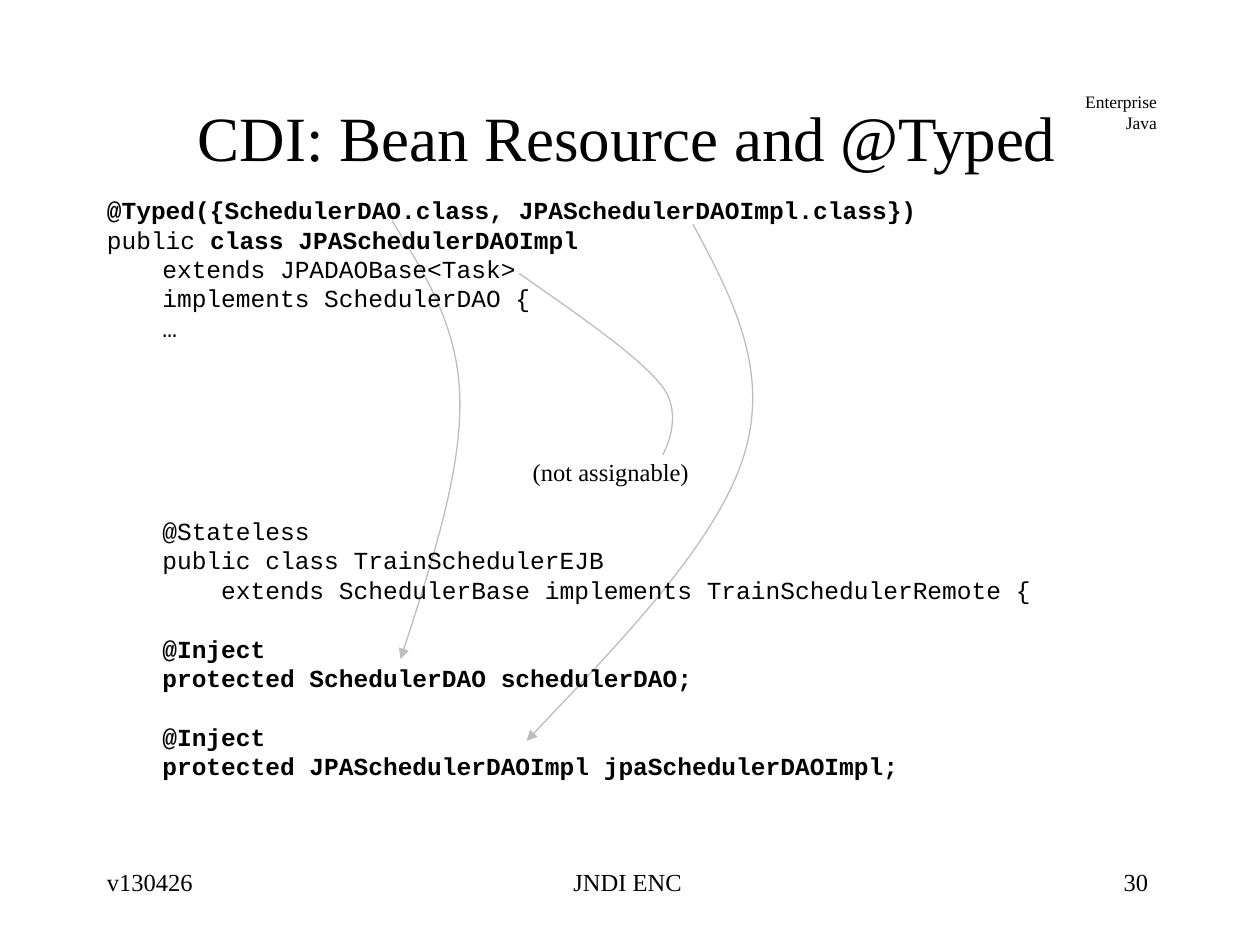
"""Build the CDI slide on bean resources and the @Typed annotation."""
from lxml import etree
from pptx import Presentation
from pptx.dml.color import RGBColor
from pptx.enum import text
from pptx.oxml.ns import qn
from pptx.util import Inches, Pt

COLORS = {"ink": "000000"}
SERIF, MONO = "Times New Roman", "Courier New"
LEFT, CENTER, RIGHT = text.PP_ALIGN.LEFT, text.PP_ALIGN.CENTER, text.PP_ALIGN.RIGHT

deck = Presentation()
deck.slide_width, deck.slide_height = Inches(10), Inches(7.5)
slide = deck.slides.add_slide(deck.slide_layouts[6])


def add_frame(left, top, width, height, wrap=True):
    frame = slide.shapes.add_textbox(
        Inches(left), Inches(top), Inches(width), Inches(height)).text_frame
    frame.word_wrap = wrap
    return frame


def add_run(paragraph, wording, size, face, bold=False):
    run = paragraph.add_run()
    run.text = wording
    run.font.size, run.font.name, run.font.bold = Pt(size), face, bold
    run.font.color.rgb = RGBColor.from_string(COLORS["ink"])


course = add_frame(8.51, 0.67, 0.77, 0.44, wrap=False)
course.add_paragraph()
for line, word in zip(course.paragraphs, ["Enterprise", "Java"]):
    line.alignment = RIGHT
    add_run(line, word, 10, SERIF)

title = add_frame(0.75, 0.67, 8.45, 0.83)
title.vertical_anchor = text.MSO_ANCHOR.MIDDLE
title.paragraphs[0].alignment = CENTER
add_run(title.paragraphs[0], "CDI: Bean Resource and @Typed", 36, SERIF)

LINE_PITCH = 16.8
# (indented, space before, [(wording, bold), ...])
code_lines = [
    (False, 0, [("@Typed({SchedulerDAO.class, JPASchedulerDAOImpl.class})", True)]),
    (False, 0, [("public ", False), ("class JPASchedulerDAOImpl", True)]),
    (True, 0, [("extends JPADAOBase<Task>", False)]),
    (True, 0, [("implements SchedulerDAO {", False)]),
    (True, 0, [("…", False)]),
    (True, 99.2, [("@Stateless", False)]),
    (True, 0, [("public class TrainSchedulerEJB", False)]),
    (True, 0, [("    extends SchedulerBase implements TrainSchedulerRemote {", False)]),
    (True, LINE_PITCH, [("@Inject", True)]),
    (True, 0, [("protected SchedulerDAO schedulerDAO;", True)]),
    (True, LINE_PITCH, [("@Inject", True)]),
    (True, 0, [("protected JPASchedulerDAOImpl jpaSchedulerDAOImpl;", True)]),
]
code = add_frame(0.75, 1.5, 8.45, 5)
for index, (indented, gap, pieces) in enumerate(code_lines):
    line = code.add_paragraph() if index else code.paragraphs[0]
    if indented:
        line._p.get_or_add_pPr().set("marL", str(Inches(0.44)))
    line.line_spacing = Pt(LINE_PITCH)
    if gap:
        line.space_before = Pt(gap)
    for wording, bold in pieces:
        add_run(line, wording, 14, MONO, bold)

for left, width, alignment, wording in [
    (0.75, 2.03, LEFT, "v130426"),
    (7.17, 2.04, RIGHT, "30"),
    (3.42, 3.12, CENTER, "JNDI ENC"),
]:
    footer = add_frame(left, 6.83, width, 0.45).paragraphs[0]
    footer.alignment = alignment
    add_run(footer, wording, 14, SERIF)

remark = add_frame(4.13, 3.58, 1.44, 0.34, wrap=False)
add_run(remark.paragraphs[0], "(not assignable)", 14, SERIF)

curves = [
    (True, [(3.11, 1.75), (3.37, 2.17), (3.64, 2.59), (3.65, 3.17),
            (3.66, 3.75), (3.42, 4.49), (3.18, 5.23)]),
    (True, [(5.5, 1.78), (5.81, 2.36), (6.12, 2.94), (5.9, 3.63),
            (5.68, 4.31), (4.93, 5.09), (4.18, 5.88)]),
    (False, [(4.12, 2.17), (4.59, 2.5), (5.06, 2.82), (5.25, 3.06),
             (5.44, 3.3), (5.26, 3.61), (5.26, 3.61)]),
]
for has_arrow, points in curves:
    (start, *controls) = [(Inches(x), Inches(y)) for x, y in points]
    builder = slide.shapes.build_freeform(*start)
    builder.add_line_segments(controls, close=False)
    curve = builder.convert_to_shape()
    curve.shadow.inherit = False
    curve.fill.background()
    curve.line.width = Pt(0.75)
    curve.line.color.rgb = RGBColor.from_string(COLORS["ink"])

    segments = list(curve._element.iter(qn("a:lnTo")))
    for first in range(0, len(segments), 3):
        bezier = etree.Element(qn("a:cubicBezTo"))
        segments[first].addprevious(bezier)
        for segment in segments[first:first + 3]:
            bezier.append(segment[0])
            segment.getparent().remove(segment)

    outline = curve.line._get_or_add_ln()
    ink = next(outline.iter(qn("a:srgbClr")))
    etree.SubElement(ink, qn("a:alpha"), val="25000")
    if has_arrow:
        etree.SubElement(outline, qn("a:tailEnd"), type="triangle")

deck.save("out.pptx")
